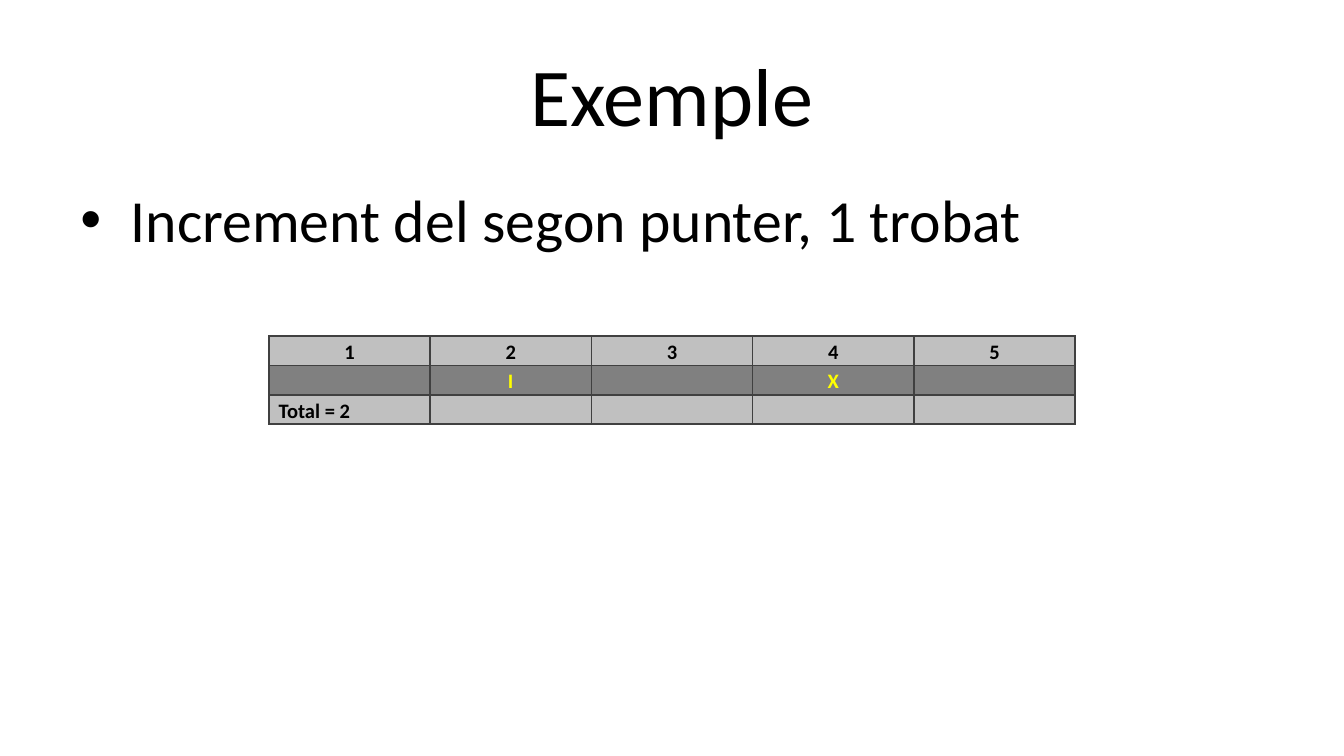
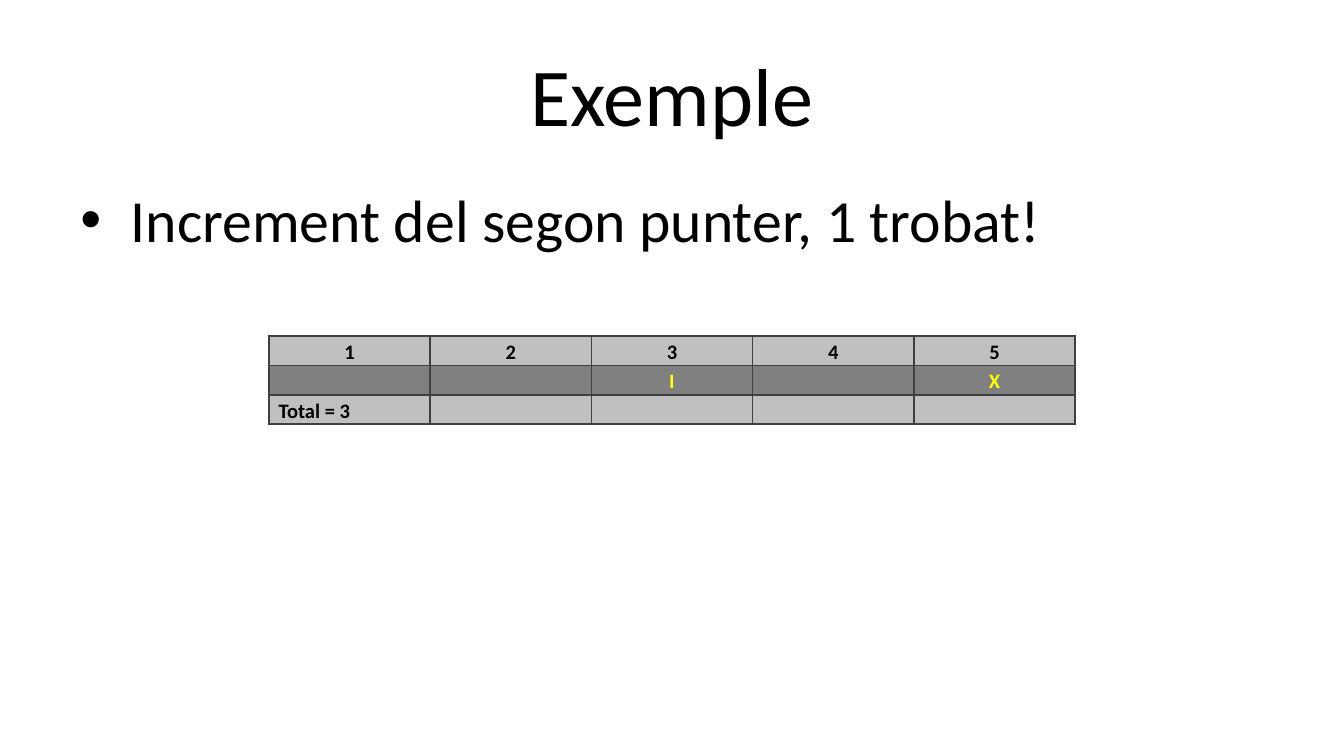
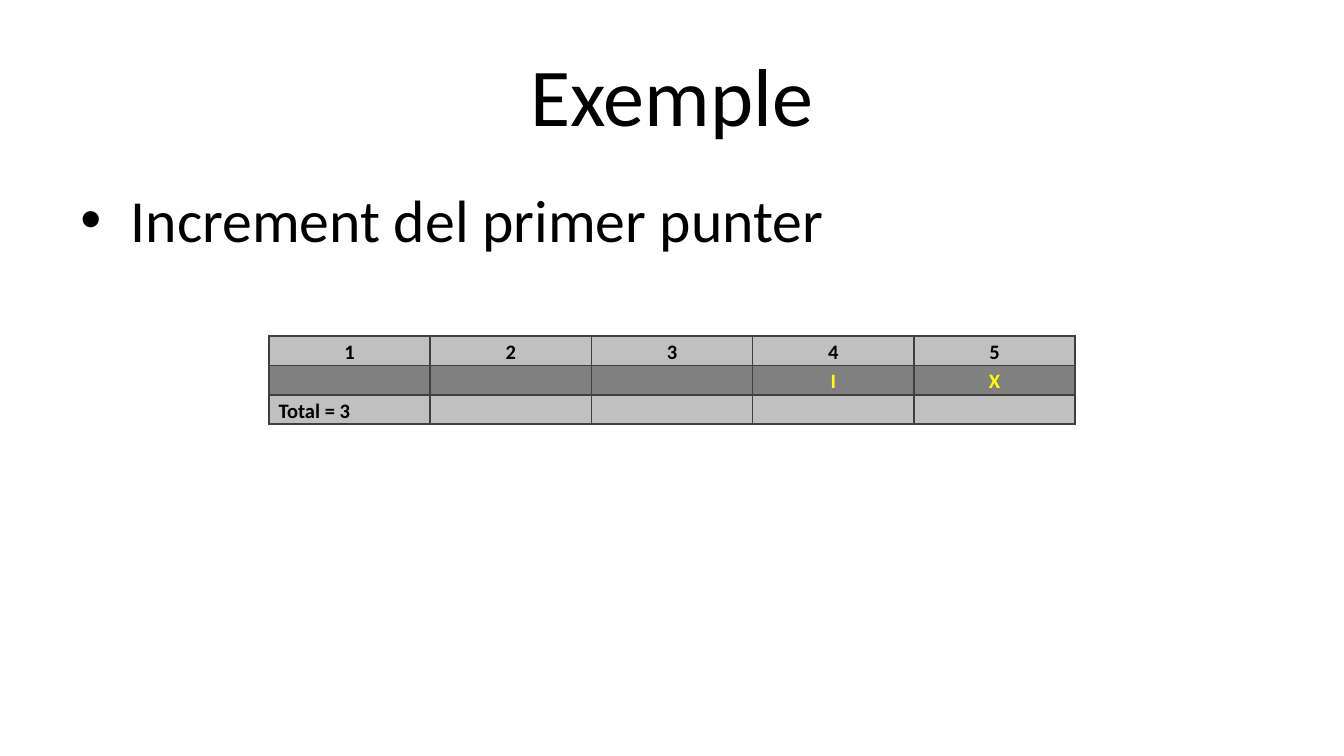
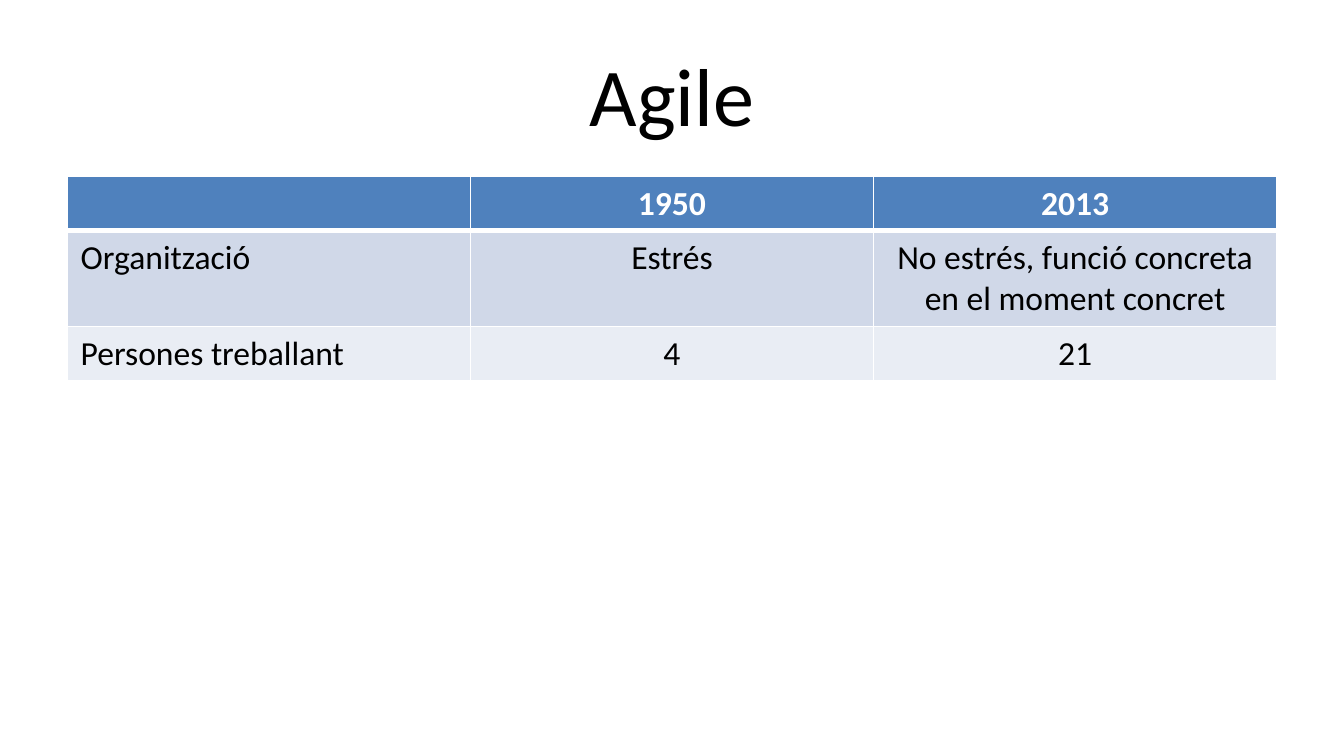
import pptx
import pptx.dml.color
import pptx.enum.text
import pptx.oxml.ns
import pptx.util
from lxml import etree

PX = 9525
SLIDE_SIZE = (960, 540)
TITLE_BOX = (48, 22, 864, 90)
BODY_BOX = (48, 126, 864, 356)
POINTER_BOX = (192, 240, 576, 63)
COMPARISON_BOX = (48, 126, 864, 145)
TITLE_ONLY = 5
FONT = "Calibri"
COLOURS = {
    "text": "000000",
    "white": "FFFFFF",
    "pointer": "FFFF00",
    "grid": "404040",
    "light_grey": "C0C0C0",
    "mid_grey": "808080",
    "header": "4F81BD",
    "band_dark": "D0D8E8",
    "band_light": "E9EDF4",
}
CENTER = pptx.enum.text.PP_ALIGN.CENTER
LEFT = pptx.enum.text.PP_ALIGN.LEFT

POINTER_STEPS = [
    ("Increment del segon punter, 1 trobat", 2, 4, 2),
    ("Increment del segon punter, 1 trobat!", 3, 5, 3),
    ("Increment del primer punter", 4, 5, 3),
]
COMPARISON = [
    ["", "1950", "2013"],
    ["Organització", "Estrés", "No estrés, funció concreta en el moment concret"],
    ["Persones treballant", "4", "21"],
]


def emu(pixels):
    """Turn pixels into EMU."""
    return pptx.util.Emu(pixels * PX)


def rgb(name):
    """Look up a colour of the palette."""
    return pptx.dml.color.RGBColor.from_string(COLOURS[name])


def add_child(parent, tag, **attributes):
    """Append a DrawingML element."""
    return etree.SubElement(parent, pptx.oxml.ns.qn(tag), attributes)


def write(paragraph, text, size, colour="text", bold=False, align=LEFT):
    """Write one formatted run, or only set the line height where there is no text."""
    paragraph.alignment = align
    if not text:
        add_child(paragraph._p, "a:endParaRPr", sz=str(size * 100))
        return
    run = paragraph.add_run()
    run.text = text
    run.font.name = FONT
    run.font.size = pptx.util.Pt(size)
    run.font.bold = bold
    run.font.color.rgb = rgb(colour)


def add_titled_slide(deck, title, box):
    """Add a slide with its title in the given box."""
    slide = deck.slides.add_slide(deck.slide_layouts[TITLE_ONLY])
    heading = slide.shapes.title
    heading.left, heading.top, heading.width, heading.height = map(emu, box)
    heading.text_frame.vertical_anchor = pptx.enum.text.MSO_ANCHOR.MIDDLE
    write(heading.text_frame.paragraphs[0], title, 44, align=CENTER)
    return slide


def add_bullet(slide, text, box):
    """Place the bulleted statement in the given box."""
    frame = slide.shapes.add_textbox(*map(emu, box)).text_frame
    frame.word_wrap = True
    statement = frame.paragraphs[0]
    write(statement, text, 32)
    statement.space_before = pptx.util.Pt(6.4)
    properties = statement._p.get_or_add_pPr()
    properties.set("marL", str(emu(36)))
    properties.set("indent", str(emu(-36)))
    add_child(properties, "a:buFont", typeface="Arial")
    add_child(properties, "a:buChar", char="•")


def style_cell(cell, fill, border, widths):
    """Fill a cell and draw its left, right, top and bottom borders."""
    properties = cell._tc.get_or_add_tcPr()
    for side, width in zip("LRTB", widths):
        line = add_child(properties, f"a:ln{side}", w=str(pptx.util.Pt(width)))
        solid = add_child(line, "a:solidFill")
        add_child(solid, "a:srgbClr", val=COLOURS[border])
    cell.fill.solid()
    cell.fill.fore_color.rgb = rgb(fill)


def add_grid(slide, box, columns, row_heights):
    """Add an unbanded table with equal columns."""
    grid = slide.shapes.add_table(len(row_heights), columns, *map(emu, box)).table
    grid.first_row = grid.horz_banding = False
    for column in grid.columns:
        column.width = emu(box[2]) // columns
    for row, height in zip(grid.rows, row_heights):
        row.height = emu(height)
    return grid


def add_pointer_table(slide, first, second, total, box):
    """Show the two pointers over the positions and the running total."""
    positions = range(1, 6)
    marks = {first: "I", second: "X"}
    rows = [
        ([str(n) for n in positions], "light_grey", "text", CENTER),
        ([marks.get(n, "") for n in positions], "mid_grey", "pointer", CENTER),
        ([f"Total = {total}"] + [""] * 4, "light_grey", "text", LEFT),
    ]
    grid = add_grid(slide, box, len(positions), [box[3] // len(rows)] * len(rows))
    for r, (texts, fill, colour, align) in enumerate(rows):
        for c, text in enumerate(texts):
            cell = grid.cell(r, c)
            cell.margin_left = cell.margin_right = emu(7)
            cell.margin_top = cell.margin_bottom = 0
            style_cell(cell, fill, "grid", (1, 1, 1, 1))
            entry = cell.text_frame.paragraphs[0]
            entry.line_spacing = 1.15
            write(entry, text, 11, colour, True, align)


def add_comparison_table(slide, box):
    """Compare the two years under a coloured header row."""
    fills = ["header", "band_dark", "band_light"]
    borders = [(1, 1, 1, 3), (1, 1, 3, 1), (1, 1, 1, 1)]
    grid = add_grid(slide, box, 3, [39, box[3] - 2 * 39, 39])
    for r, texts in enumerate(COMPARISON):
        is_header = r == 0
        for c, text in enumerate(texts):
            cell = grid.cell(r, c)
            style_cell(cell, fills[r], "white", borders[r])
            write(cell.text_frame.paragraphs[0], text, 18,
                  "white" if is_header else "text", is_header,
                  CENTER if c else LEFT)


def main():
    """Build the deck."""
    deck = pptx.Presentation()
    deck.slide_width, deck.slide_height = map(emu, SLIDE_SIZE)
    for statement, first, second, total in POINTER_STEPS:
        slide = add_titled_slide(deck, "Exemple", TITLE_BOX)
        add_bullet(slide, statement, BODY_BOX)
        add_pointer_table(slide, first, second, total, POINTER_BOX)
    agile = add_titled_slide(deck, "Agile", TITLE_BOX)
    add_comparison_table(agile, COMPARISON_BOX)
    deck.save("out.pptx")


if __name__ == "__main__":
    main()
